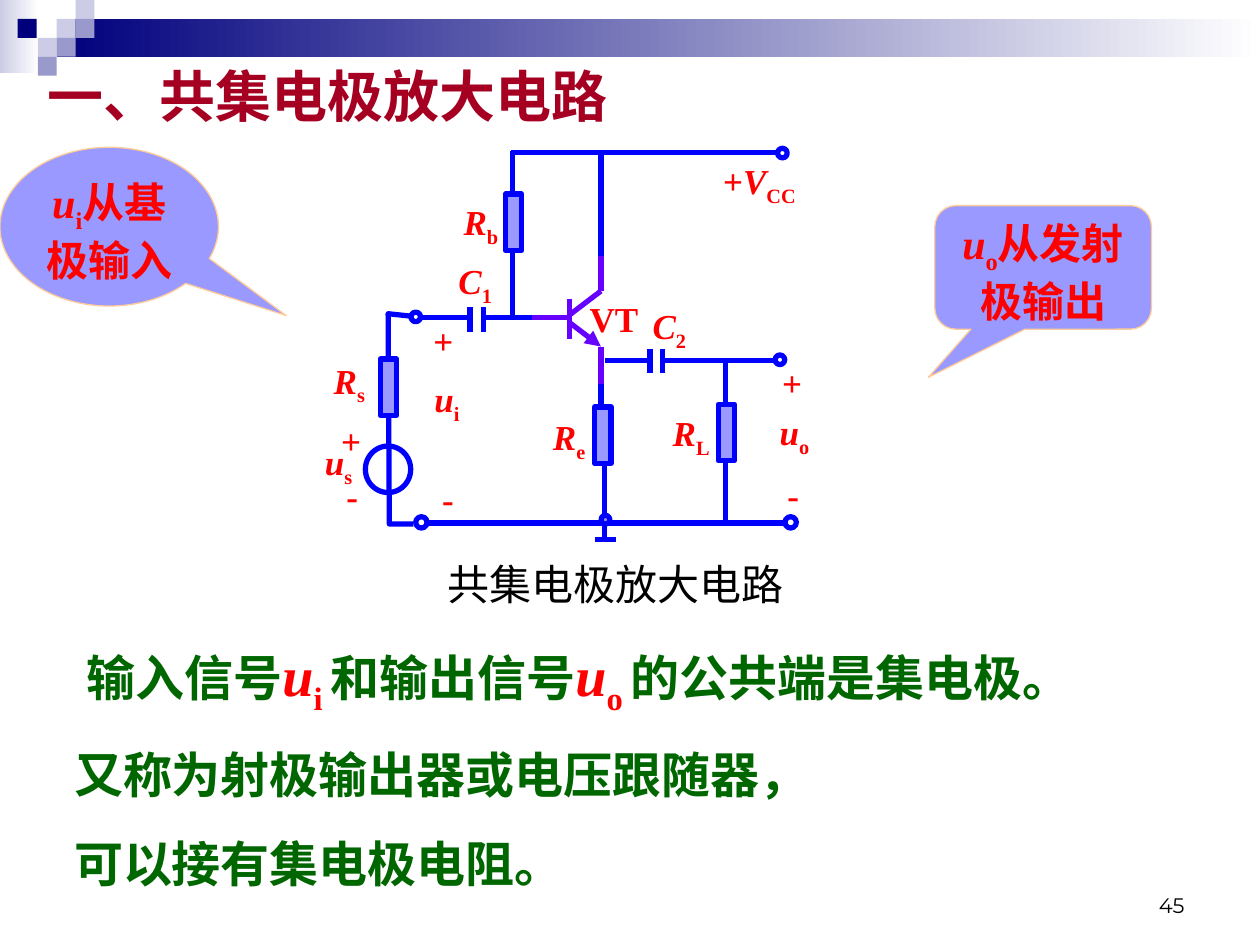
from lxml import etree
from pptx import Presentation
from pptx.dml.color import RGBColor
from pptx.enum.lang import MSO_LANGUAGE_ID
from pptx.enum.shapes import MSO_CONNECTOR, MSO_SHAPE
from pptx.enum.text import MSO_ANCHOR, MSO_AUTO_SIZE, PP_ALIGN
from pptx.oxml.ns import qn
from pptx.util import Pt

RECT, OVAL = MSO_SHAPE.RECTANGLE, MSO_SHAPE.OVAL
ROUND_CALLOUT = MSO_SHAPE.ROUNDED_RECTANGULAR_CALLOUT
OVAL_CALLOUT = MSO_SHAPE.OVAL_CALLOUT
STRAIGHT = MSO_CONNECTOR.STRAIGHT
TOP, BOTTOM = MSO_ANCHOR.TOP, MSO_ANCHOR.BOTTOM
LEFT, CENTER, RIGHT = PP_ALIGN.LEFT, PP_ALIGN.CENTER, PP_ALIGN.RIGHT
FIT, FIXED = MSO_AUTO_SIZE.SHAPE_TO_FIT_TEXT, MSO_AUTO_SIZE.NONE
CHINESE = MSO_LANGUAGE_ID.SIMPLIFIED_CHINESE

WHITE = RGBColor(0xFF, 0xFF, 0xFF)
BLACK = RGBColor(0, 0, 0)
NAVY = RGBColor(0, 0, 0x7D)
PALE = RGBColor(0xCC, 0xCC, 0xE6)
LAVENDER = RGBColor(0x99, 0x99, 0xCC)
LILAC = RGBColor(0x99, 0x99, 0xFF)
PEACH = RGBColor(0xFF, 0xCC, 0x99)
BLUE = RGBColor(0, 0, 0xFF)
VIOLET = RGBColor(0x66, 0, 0xFF)
RED = RGBColor(0xFF, 0, 0)
CRIMSON = RGBColor(0xA5, 0, 0x21)
GREEN = RGBColor(0, 0x66, 0)

SERIF, SANS, DIGITS = "Times New Roman", "Noto Sans CJK SC", "Montserrat"
PLAIN, VAR, SUB = "plain", "variable", "subscript"
WIRE = 3


class CircuitSlide:
    def __init__(self, prs):
        self.shapes = prs.slides.add_slide(prs.slide_layouts[6]).shapes

    def shape(self, kind, x, y, w, h, fill=None, line=None, width=WIRE):
        sp = self.shapes.add_shape(kind, Pt(x), Pt(y), Pt(w), Pt(h))
        self.paint(sp, fill, line, width)
        return sp

    def paint(self, sp, fill, line, width):
        sp.shadow.inherit = False
        if fill is None:
            sp.fill.background()
        else:
            sp.fill.solid()
            sp.fill.fore_color.rgb = fill
        if line is None:
            sp.line.fill.background()
        else:
            sp.line.color.rgb = line
            sp.line.width = Pt(width)

    def gradient(self, x, y, w, h, color):
        """Rectangle fading from color to white, left to right."""
        sp = self.shape(RECT, x, y, w, h)
        sp.fill.gradient()
        sp.fill.gradient_angle = 0
        for stop, rgb, position in zip(sp.fill.gradient_stops, (color, WHITE), (0, 1)):
            stop.color.rgb = rgb
            stop.position = position

    def wire(self, x1, y1, x2, y2, color=BLUE, arrow=False):
        c = self.shapes.add_connector(STRAIGHT, Pt(x1), Pt(y1), Pt(x2), Pt(y2))
        c.line.color.rgb = color
        c.line.width = Pt(WIRE)
        sp_pr = c._element.spPr
        if arrow:
            etree.SubElement(sp_pr.find(qn("a:ln")), qn("a:tailEnd"), type="triangle")
        etree.SubElement(sp_pr, qn("a:effectLst"))

    def bent_wire(self, start, *points):
        builder = self.shapes.build_freeform(Pt(start[0]), Pt(start[1]))
        builder.add_line_segments([(Pt(x), Pt(y)) for x, y in points], close=False)
        self.paint(builder.convert_to_shape(), None, BLUE, WIRE)

    def resistor(self, x, y):
        self.shape(RECT, x, y, 9.4, 32.2, LILAC, BLUE)

    def node(self, cx, cy, d=5.5, fill=None):
        self.shape(OVAL, cx - d / 2, cy - d / 2, d, d, fill, BLUE)

    def set_text(self, sp, paragraphs, size, color, font=SERIF, bold=True,
                 align=LEFT, anchor=TOP, fit=FIT, gap=0):
        """Each paragraph is a list of (text, kind[, size, color]) runs."""
        tf = sp.text_frame
        tf.word_wrap = True
        tf.auto_size = fit
        tf.vertical_anchor = anchor
        for i, runs in enumerate(paragraphs):
            p = tf.add_paragraph() if i else tf.paragraphs[0]
            p.alignment = align
            if i:
                p.space_before = Pt(gap)
            p.font.name, p.font.size, p.font.bold = font, Pt(size), bold
            p.font.color.rgb = color
            p.font.language_id = CHINESE
            for text, kind, *special in runs:
                r = p.add_run()
                r.text = text
                if kind == VAR:
                    r.font.italic = True
                elif kind == SUB:
                    r._r.get_or_add_rPr().set("baseline", "-25000")
                if special:
                    r.font.size = Pt(special[0])
                    r.font.color.rgb = special[1]

    def text(self, x, y, w, h, paragraphs, size, color, **style):
        sp = self.shapes.add_textbox(Pt(x), Pt(y), Pt(w), Pt(h))
        self.set_text(sp, paragraphs, size, color, **style)

    def label(self, x, y, w, *runs):
        self.text(x, y, w, 34.5 if len(runs) > 1 else 31.7, [runs], 20, RED)

    def callout(self, kind, x, y, w, h, adjustments, runs):
        sp = self.shape(kind, x, y, w, h, LILAC, PEACH, 0.75)
        for i, value in enumerate(adjustments):
            sp.adjustments[i] = value
        self.set_text(sp, [runs], 24, RED, align=CENTER, fit=FIXED)


def draw_banner(s):
    s.gradient(0, 0, 22.3, 41.8, PALE)
    s.gradient(32.4, 10.8, 687.6, 21.6, NAVY)
    for x, y, color in ((32.4, 10.8, PALE), (43.2, 0, PALE), (43.2, 10.8, LAVENDER),
                        (21.6, 21.6, PALE), (10.1, 10.8, NAVY),
                        (32.4, 21.6, LAVENDER), (21.6, 32.4, LAVENDER)):
        s.shape(RECT, x, y, 10.8, 10.8, color)


def draw_circuit(s):
    s.bent_wire((234.7, 180.7), (221.8, 179.3), (222.5, 299.5), (236.2, 299.5))
    for ends in ((325.4, 180, 343.4, 166.3), (343.4, 166.3, 343.4, 143.3),
                 (343.4, 198, 343.4, 221), (325.4, 170.6, 325.4, 193.7),
                 (325.4, 181.4, 302.4, 181.4)):
        s.wire(*ends, color=VIOLET)
    s.wire(325.4, 184.3, 343.4, 198, VIOLET, arrow=True)
    for ends in (
        (292.3, 87.1, 445, 87.1), (343.4, 146.2, 343.4, 87.1),    # supply
        (293, 110.9, 293, 86.4), (293, 143.3, 293, 182.9),        # base bias
        (241.2, 181.4, 268.6, 181.4), (277.9, 181.4, 303.8, 181.4),  # input
        (345.6, 205.9, 370.1, 205.9), (380.2, 205.9, 443.5, 205.9),  # output
        (343.4, 219.6, 343.4, 233.3), (345.6, 265, 345.6, 308.9),  # emitter
        (414.7, 229.7, 414.7, 205.2), (414.7, 262.8, 414.7, 297.4),  # load
        (244.8, 298.8, 449.3, 298.8), (339.8, 308.2, 352.1, 308.2),  # ground
    ):
        s.wire(*ends)
    for x, y in ((268.6, 175.7), (276.5, 175.7), (371.5, 199.4), (378.7, 199.4)):
        s.wire(x, y, x, y + 14)  # capacitor plates
    for x, y in ((288.7, 110.9), (339.8, 232.6), (410.4, 231.1), (217.4, 205.2)):
        s.resistor(x, y)
    for cx, cy in ((445.7, 205.6), (447.1, 87.5), (237.6, 181.1)):
        s.node(cx, cy)
    for cx in (240.8, 451.8):
        s.node(cx, 298.5, 6.5)
    s.node(346, 297, 5, LAVENDER)
    s.shape(OVAL, 208.8, 254.9, 25.9, 26.6, line=BLUE)

    for x, y, w, name, sub in (
        (183.6, 201.6, 38.2, "R", "s"), (178.6, 248.4, 34.6, "u", "s"),
        (257.8, 110.9, 47.5, "R", "b"), (438.5, 231.1, 46.1, "u", "o"),
        (377.3, 231.8, 41, "R", "L"), (254.9, 144.7, 38.2, "C", "1"),
        (365.8, 170.6, 38.2, "C", "2"), (241.2, 212.4, 38.9, "u", "i"),
        (308.9, 234, 41, "R", "e"),
    ):
        s.label(x, y, w, (name, VAR), (sub, SUB))
    s.label(406.1, 87.8, 61.2, ("+", PLAIN), ("V", VAR), ("CC", SUB))
    for x, y, w, mark in (
        (187.9, 236.2, 26, "+"), (190.8, 267.8, 31, "-"), (329.8, 166.3, 50.4, "VT"),
        (439.9, 203, 26, "+"), (442.8, 267.1, 31, "-"),
        (240.5, 179.3, 26, "+"), (245.5, 269.3, 27, "-"),
    ):
        s.label(x, y, w, (mark, PLAIN))
    s.text(248.4, 315.4, 247.7, 36, [[("共集电极放大电路", PLAIN)]], 24, BLACK,
           font=SANS, bold=False)


def main():
    prs = Presentation()
    prs.slide_width, prs.slide_height = Pt(720), Pt(540)
    s = CircuitSlide(prs)
    draw_banner(s)
    s.text(516.2, 491.8, 167.8, 36, [[("45", PLAIN)]], 12, BLACK, font=DIGITS,
           bold=False, align=RIGHT, anchor=BOTTOM, fit=FIXED)
    s.callout(ROUND_CALLOUT, 534.2, 117.5, 123.8, 70.6, (-0.53, 0.89, 0.17),
              [("u", VAR), ("o", SUB), ("从发射极输出", PLAIN)])
    s.callout(OVAL_CALLOUT, 0, 84.2, 124.9, 90.7, (0.81, 0.56),
              [("u", VAR), ("i", SUB), ("从基极输入", PLAIN)])
    s.text(20.2, 31.7, 603.4, 46.1, [[("一、共集电极放大电路", PLAIN)]], 32, CRIMSON)
    draw_circuit(s)
    s.text(42.5, 362.2, 622.1, 51.1, [[
        ("输入信号", PLAIN), ("u", VAR, 32, RED), ("i ", SUB, 32, RED),
        ("和输出信号", PLAIN), ("u", VAR, 32, RED), ("o ", SUB, 32, RED),
        ("的公共端是集电极。", PLAIN)]], 28, GREEN)
    s.text(35.3, 421.9, 537.1, 92.2, [[("又称为射极输出器或电压跟随器，", PLAIN)],
                                      [("可以接有集电极电阻。", PLAIN)]],
           28, GREEN, gap=17.5)
    prs.save("out.pptx")


if __name__ == "__main__":
    main()
